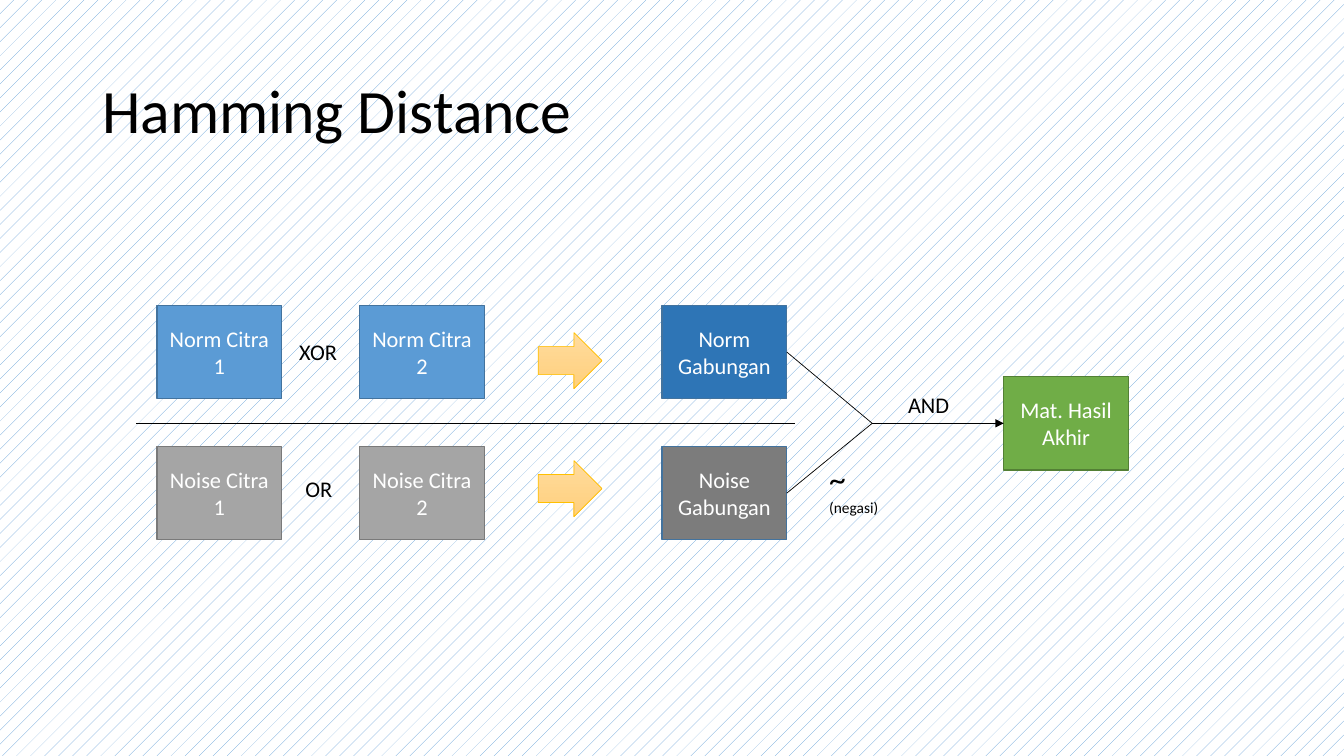
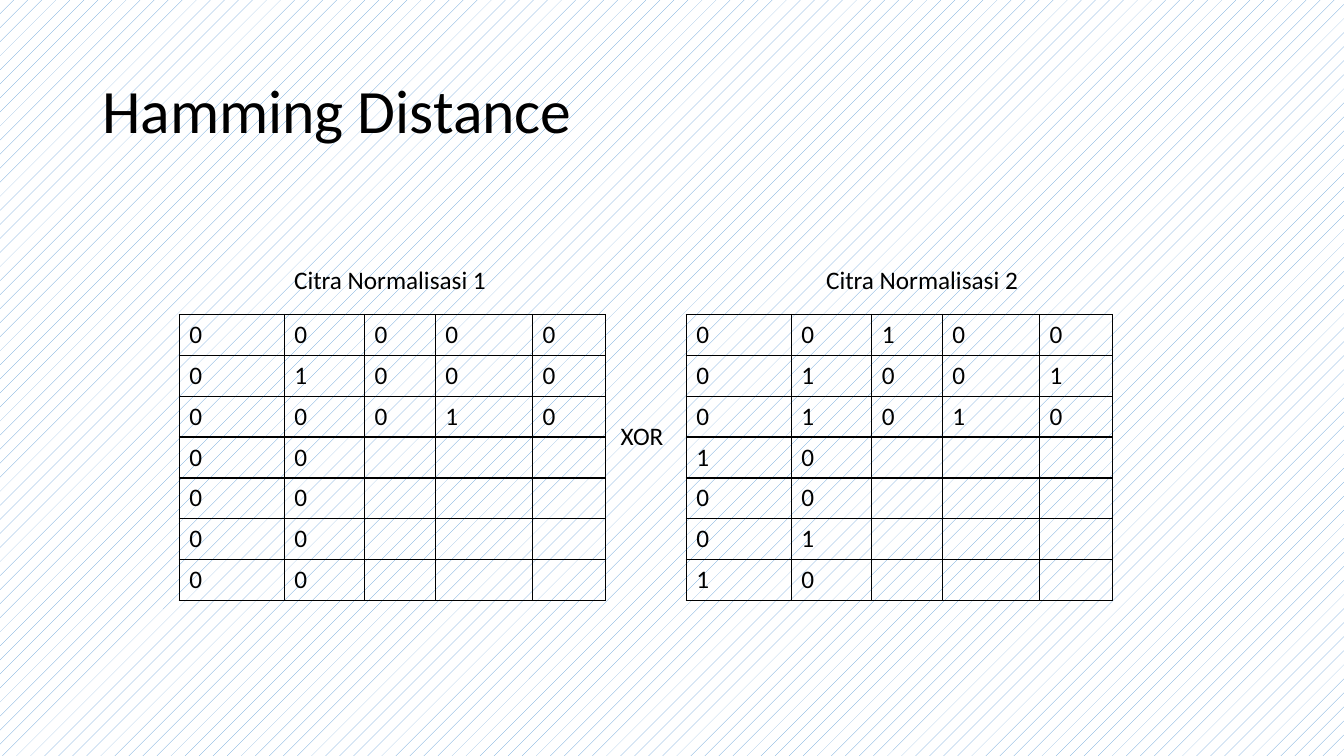
from pptx import Presentation
from pptx.dml.color import RGBColor
from pptx.enum.dml import MSO_PATTERN
from pptx.enum.shapes import MSO_CONNECTOR, MSO_SHAPE
from pptx.enum.text import MSO_ANCHOR as ANCHOR, PP_ALIGN as ALIGN
from pptx.oxml import parse_xml
from pptx.oxml.ns import nsdecls
from pptx.util import Pt

FONT = "Calibri"
BLACK = RGBColor(0x00, 0x00, 0x00)
WHITE = RGBColor(0xFF, 0xFF, 0xFF)
BLUE = RGBColor(0x5B, 0x9B, 0xD5)
DARK_BLUE = RGBColor(0x2E, 0x75, 0xB6)
BLUE_EDGE = RGBColor(0x43, 0x73, 0x9E)
GRAY = RGBColor(0xA5, 0xA5, 0xA5)
DARK_GRAY = RGBColor(0x7C, 0x7C, 0x7C)
GRAY_EDGE = RGBColor(0x7A, 0x7A, 0x7A)
GREEN = RGBColor(0x70, 0xAD, 0x47)
GREEN_EDGE = RGBColor(0x53, 0x80, 0x35)
GOLD = RGBColor(0xFF, 0xC0, 0x00)
GOLD_LIGHT = RGBColor(0xFF, 0xDB, 0x9E)
GOLD_DEEP = RGBColor(0xFF, 0xD0, 0x7C)

BOX_W, BOX_H = 89, 66.5
ROW_H = 29.2
COL_WIDTHS = (75, 57.5, 50.5, 69.5, 52)


class Deck:
    def __init__(self):
        self.prs = Presentation()
        self.prs.slide_width, self.prs.slide_height = Pt(960), Pt(540)
        self.s = None

    def slide(self, title):
        self.s = self.prs.slides.add_slide(self.prs.slide_layouts[6])
        fill = self.s.background.fill
        fill.patterned()
        fill.pattern = MSO_PATTERN.PERCENT_5
        fill.fore_color.rgb = BLUE
        fill.back_color.rgb = WHITE
        tf = self.text(66, 29, 828, 104, (title, 44))
        tf.vertical_anchor = ANCHOR.MIDDLE
        tf.paragraphs[0].line_spacing = 0.9

    def run(self, p, text, size, color=BLACK):
        r = p.add_run()
        r.text = text
        r.font.name = FONT
        r.font.size = Pt(size)
        r.font.color.rgb = color

    def text(self, x, y, w, h, *runs):
        """Add a text box of one paragraph; each run is (text, size)."""
        tf = self.s.shapes.add_textbox(Pt(x), Pt(y), Pt(w), Pt(h)).text_frame
        tf.word_wrap = True
        for text, size in runs:
            self.run(tf.paragraphs[0], text, size)
        return tf

    def shape(self, kind, x, y, w, h, edge, edge_width):
        sp = self.s.shapes.add_shape(kind, Pt(x), Pt(y), Pt(w), Pt(h))
        sp.shadow.inherit = False
        sp.line.color.rgb = edge
        sp.line.width = Pt(edge_width)
        return sp

    def box(self, x, y, text, color, edge):
        sp = self.shape(MSO_SHAPE.RECTANGLE, x, y, BOX_W, BOX_H, edge, 1)
        sp.fill.solid()
        sp.fill.fore_color.rgb = color
        tf = sp.text_frame
        tf.word_wrap = True
        tf.vertical_anchor = ANCHOR.MIDDLE
        p = tf.paragraphs[0]
        p.alignment = ALIGN.CENTER
        self.run(p, text, 16, WHITE)

    def block_arrow(self, x, y):
        sp = self.shape(MSO_SHAPE.RIGHT_ARROW, x, y, 45.5, 40, GOLD, 0.5)
        sp.fill.gradient()
        sp.fill.gradient_angle = 270
        for stop, color in zip(sp.fill.gradient_stops, (GOLD_LIGHT, GOLD_DEEP)):
            stop.color.rgb = color

    def line(self, x1, y1, x2, y2, arrow=False):
        c = self.s.shapes.add_connector(
            MSO_CONNECTOR.STRAIGHT, Pt(x1), Pt(y1), Pt(x2), Pt(y2))
        c.line.color.rgb = BLACK
        c.line.width = Pt(0.5)
        if arrow:
            c.line._get_or_add_ln().append(
                parse_xml(f'<a:tailEnd {nsdecls("a")} type="triangle"/>'))
        c._element.spPr.append(parse_xml(f'<a:effectLst {nsdecls("a")}/>'))

    def bit_table(self, x, y, rows):
        """Add a bordered grid; each row is a string with one bit per cell."""
        table = self.s.shapes.add_table(
            len(rows), len(COL_WIDTHS), Pt(x), Pt(y),
            Pt(sum(COL_WIDTHS)), Pt(ROW_H * len(rows))).table
        table.first_row = table.horz_banding = False
        for col, width in zip(table.columns, COL_WIDTHS):
            col.width = Pt(width)
        for i, bits in enumerate(rows):
            table.rows[i].height = Pt(ROW_H)
            for j in range(len(COL_WIDTHS)):
                cell = table.cell(i, j)
                self.borders(cell)
                cell.fill.background()
                if j < len(bits):
                    self.run(cell.text_frame.paragraphs[0], bits[j], 18)

    def borders(self, cell):
        tc_pr = cell._tc.get_or_add_tcPr()
        for side in "LRTB":
            tc_pr.append(parse_xml(
                f'<a:ln{side} {nsdecls("a")} w="{Pt(1)}"><a:solidFill>'
                f'<a:srgbClr val="{BLACK}"/></a:solidFill></a:ln{side}>'))


def flow_slide(d):
    d.slide("Hamming Distance")
    first, second, merged, result = 112.2, 257, 473, 717
    top, bottom = 218.2, 319
    middle, joint = 302.4, 623
    rows = (
        (top, "Norm", BLUE, BLUE_EDGE, DARK_BLUE),
        (bottom, "Noise", GRAY, GRAY_EDGE, DARK_GRAY),
    )
    for y, name, color, edge, merged_color in rows:
        d.box(first, y, f"{name} Citra 1", color, edge)
        d.box(second, y, f"{name} Citra 2", color, edge)
        d.box(merged, y, f"{name} Gabungan", merged_color, BLUE_EDGE)
        d.line(merged + BOX_W, y + BOX_H / 2, joint, middle)
    d.box(result, middle - BOX_H / 2, "Mat. Hasil Akhir", GREEN, GREEN_EDGE)
    d.line(97.2, middle, 568, middle)
    d.line(joint, middle, result, middle, arrow=True)
    for y in (237.6, 329):
        d.block_arrow(384.5, y)
    d.text(206.6, 238.3, 43.5, 26.6, ("XOR", 16))
    d.text(211, 335.8, 43.5, 26.6, ("OR", 16))
    d.text(641.5, 275.8, 54, 26.6, ("AND", 16))
    d.text(585.2, 323.3, 56.2, 49.7, ("~ ", 24), ("(negasi)", 11))


def matrix_slide(d):
    d.slide("Hamming Distance")
    matrices = (
        (128, 203, "Citra Normalisasi 1",
         ("00000", "01000", "00010", "00", "00", "00", "00")),
        (490.2, 583, "Citra Normalisasi 2",
         ("00100", "01001", "01010", "10", "00", "01", "10")),
    )
    for x, caption_x, caption, rows in matrices:
        d.text(caption_x, 185, 167, 29, (caption, 18))
        d.bit_table(x, 224.6, rows)
    d.text(436.3, 297, 50, 29, ("XOR", 18))


def main():
    d = Deck()
    flow_slide(d)
    matrix_slide(d)
    d.prs.save("out.pptx")


if __name__ == "__main__":
    main()
